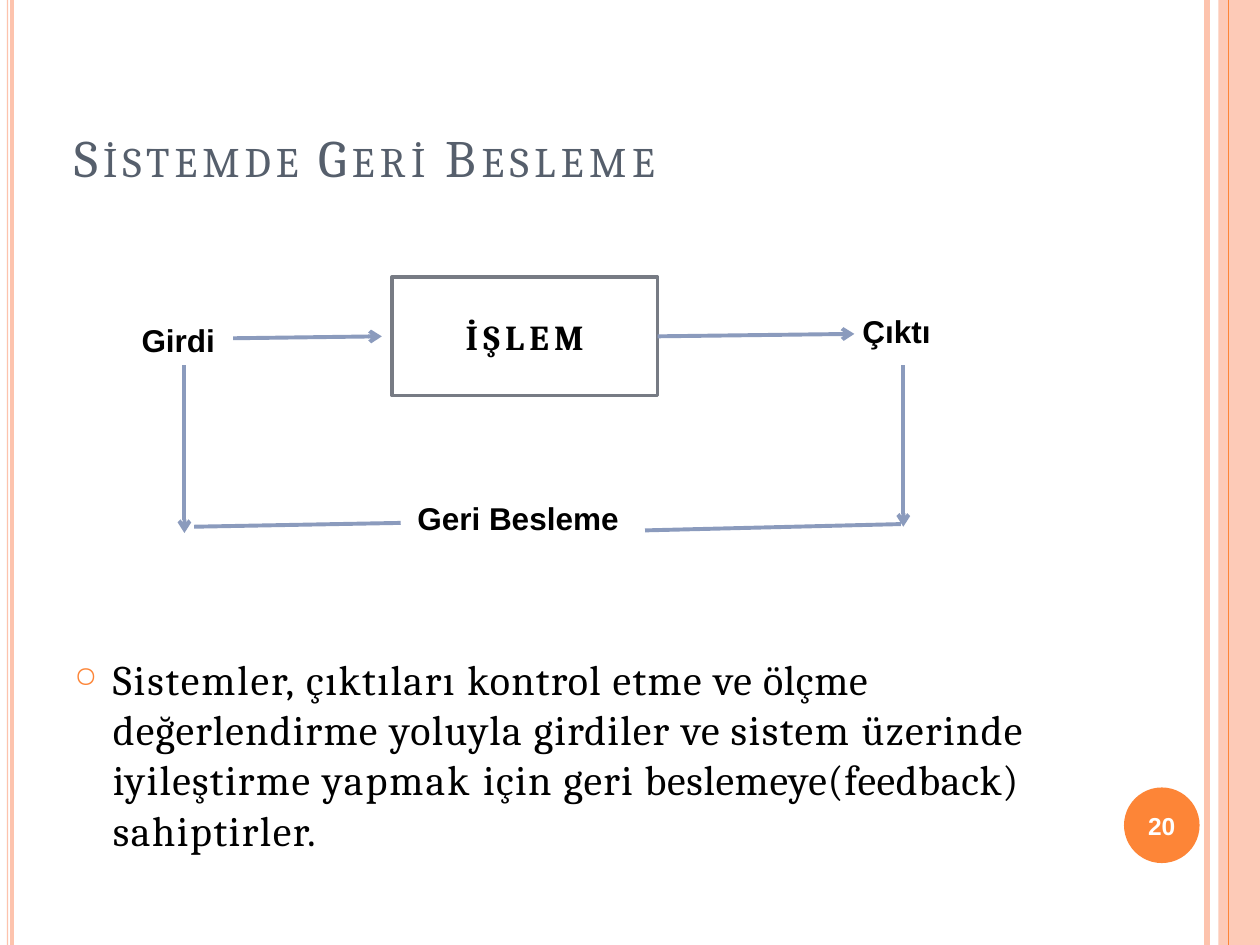
from typing import NamedTuple, Optional

from lxml.etree import SubElement
from pptx import Presentation
from pptx.dml.color import RGBColor
from pptx.enum.shapes import MSO_CONNECTOR, MSO_SHAPE
from pptx.enum.text import MSO_ANCHOR, PP_ALIGN
from pptx.oxml.ns import qn
from pptx.util import Pt

COLORS = {
    "peach": "FDC3AD", "orange": "FD8537", "slate": "565F6C",
    "border": "777B84", "arrow": "8B9BBD", "black": "000000", "white": "FFFFFF",
}
FORMATS = {
    "title": {"name": "Cambria", "size": Pt(30)},
    "title_small": {"name": "Cambria", "size": Pt(24)},
    "body": {"name": "Cambria", "size": Pt(24)},
    "process": {"name": "Cambria", "size": Pt(20), "bold": True},
    "label": {"name": "Arial", "size": Pt(18), "bold": True},
    "number": {"name": "Arial", "size": Pt(14), "bold": True},
}
SLIDE_W, SLIDE_H = 720, 540


class Box(NamedTuple):
    x: float
    y: float
    w: float
    h: float


class Bar(NamedTuple):
    x: float
    w: float
    opacity: int = 100


class Label(NamedTuple):
    text: str
    box: Box


class Line(NamedTuple):
    x1: float
    y1: float
    x2: float
    y2: float
    color: str = "arrow"
    width: float = 2.25
    head: bool = False


def rgb(name: str) -> RGBColor:
    return RGBColor.from_string(COLORS[name])


def add_run(p, text: str, style: str, color: str, spacing: float = 0) -> None:
    r = p.add_run()
    r.text = text
    for attr, value in FORMATS[style].items():
        setattr(r.font, attr, value)
    r.font.color.rgb = rgb(color)
    if spacing:
        r._r.get_or_add_rPr().set("spc", str(round(spacing * 100)))


def clear_margins(tf, top: float = 0) -> None:
    tf.margin_left = tf.margin_right = tf.margin_bottom = 0
    tf.margin_top = Pt(top)


def add_text(s, box: Box, wrap: bool = False):
    tf = s.shapes.add_textbox(*map(Pt, box)).text_frame
    clear_margins(tf, 1)
    tf.word_wrap = wrap
    return tf.paragraphs[0]


def add_shape(s, kind: MSO_SHAPE, box: Box, fill: Optional[str] = None,
              line: Optional[str] = None):
    sp = s.shapes.add_shape(kind, *map(Pt, box))
    sp.shadow.inherit = False
    if fill:
        sp.fill.solid()
        sp.fill.fore_color.rgb = rgb(fill)
    else:
        sp.fill.background()
    if line:
        sp.line.color.rgb = rgb(line)
        sp.line.width = Pt(2)
    else:
        sp.line.fill.background()
    return sp


def center_text(sp, text: str, style: str, color: str, spacing: float) -> None:
    tf = sp.text_frame
    clear_margins(tf)
    tf.vertical_anchor = MSO_ANCHOR.MIDDLE
    tf.paragraphs[0].alignment = PP_ALIGN.CENTER
    add_run(tf.paragraphs[0], text, style, color, spacing)


def add_line(s, line: Line):
    cn = s.shapes.add_connector(MSO_CONNECTOR.STRAIGHT, *map(Pt, line[:4]))
    cn.line.color.rgb = rgb(line.color)
    cn.line.width = Pt(line.width)
    if line.head:
        SubElement(cn.line._get_or_add_ln(), qn("a:tailEnd"), type="arrow")
    SubElement(cn._element.spPr, qn("a:effectLst"))
    return cn


def add_bullet(p, char: str, color: str, percent: int, indent: float) -> None:
    pPr = p._p.get_or_add_pPr()
    pPr.set("marL", str(Pt(indent)))
    pPr.set("indent", str(-Pt(indent)))
    SubElement(SubElement(pPr, qn("a:buClr")), qn("a:srgbClr"), val=COLORS[color])
    SubElement(pPr, qn("a:buSzPct"), val=str(percent * 1000))
    SubElement(pPr, qn("a:buChar"), char=char)


BARS = [Bar(3.9, 0.7), Bar(5.8, 2.2), Bar(696.2, 23.8, 87)]
RULES = [
    Line(689.8, 0, 689.8, SLIDE_H, "peach", 3),
    Line(702, 0, 702, SLIDE_H, "orange", 0.75),
]
LABELS = [
    Label("Girdi", Box(80.9, 182.2, 44, 24)),
    Label("Çıktı", Box(492.8, 177.4, 41, 24)),
    Label("Geri Besleme", Box(238.5, 284.4, 117, 24)),
]
PROCESS_OUTPUT = Line(375.8, 192.2, 488.2, 190.8, head=True)
FLOW_LINES = [
    Line(133.2, 193.3, 218.2, 192.2, head=True),
    Line(516.2, 208.8, 516.2, 301, head=True),
    Line(105.4, 208.8, 105.4, 304.6, head=True),
    Line(368.6, 303.1, 514.8, 299.5),
    Line(229, 298.8, 110.9, 301),
]
TITLE = [("S", "İSTEMDE ", 2.9), ("G", "ERİ ", 3.1), ("B", "ESLEME", 3.2)]
BODY = [
    ("Sistemler, ", 1.1), ("çıktıları ", 0.9), ("kontrol ", 0.7), ("etme ", 0.8),
    ("ve ", 0.5), ("ölçme ", 0.4), ("değerlendirme ", 0.7), ("yoluyla ", 0.8),
    ("girdiler ", 0.7), ("ve ", 0.5), ("sistem ", 0.9),
    ("üzerinde iyileştirme ", 0.8), ("yapmak ", 1.2), ("için ", 0.8),
    ("geri ", 0.7), ("beslemeye(feedback) ", 0.4), ("sahiptirler.", 0.9),
]


def main() -> None:
    prs = Presentation()
    prs.slide_width, prs.slide_height = Pt(SLIDE_W), Pt(SLIDE_H)
    s = prs.slides.add_slide(prs.slide_layouts[6])

    # Side bars and rules
    for bar in BARS:
        sp = add_shape(s, MSO_SHAPE.RECTANGLE, Box(bar.x, 0, bar.w, SLIDE_H), "peach")
        if bar.opacity < 100:
            clr = sp._element.spPr.find(qn("a:solidFill"))[0]
            SubElement(clr, qn("a:alpha"), val=str(bar.opacity * 1000))
    for rule in RULES:
        add_line(s, rule)

    # Slide number
    badge = add_shape(s, MSO_SHAPE.OVAL, Box(642.3, 450, 43.2, 43.2), "orange")
    center_text(badge, "20", "number", "white", -0.1)

    # Title in small capitals
    p = add_text(s, Box(42.5, 70.6, 392.4, 38.2))
    for initial, rest, spacing in TITLE:
        add_run(p, initial, "title", "slate", spacing)
        add_run(p, rest, "title_small", "slate", spacing)

    # Feedback diagram
    process = add_shape(s, MSO_SHAPE.RECTANGLE, Box(223.9, 158.4, 151.9, 67.6),
                        line="border")
    center_text(process, "İŞLEM", "process", "black", 3)
    add_line(s, PROCESS_OUTPUT).begin_connect(process, 3)
    for line in FLOW_LINES:
        add_line(s, line)
    for label in LABELS:
        add_run(add_text(s, label.box), label.text, "label", "black")

    # Explanation
    p = add_text(s, Box(42.5, 372.2, 575.3, 117.4), wrap=True)
    add_bullet(p, "○", "orange", 69, 22)
    for text, spacing in BODY:
        add_run(p, text, "body", "black", spacing)

    prs.save("out.pptx")


if __name__ == "__main__":
    main()
